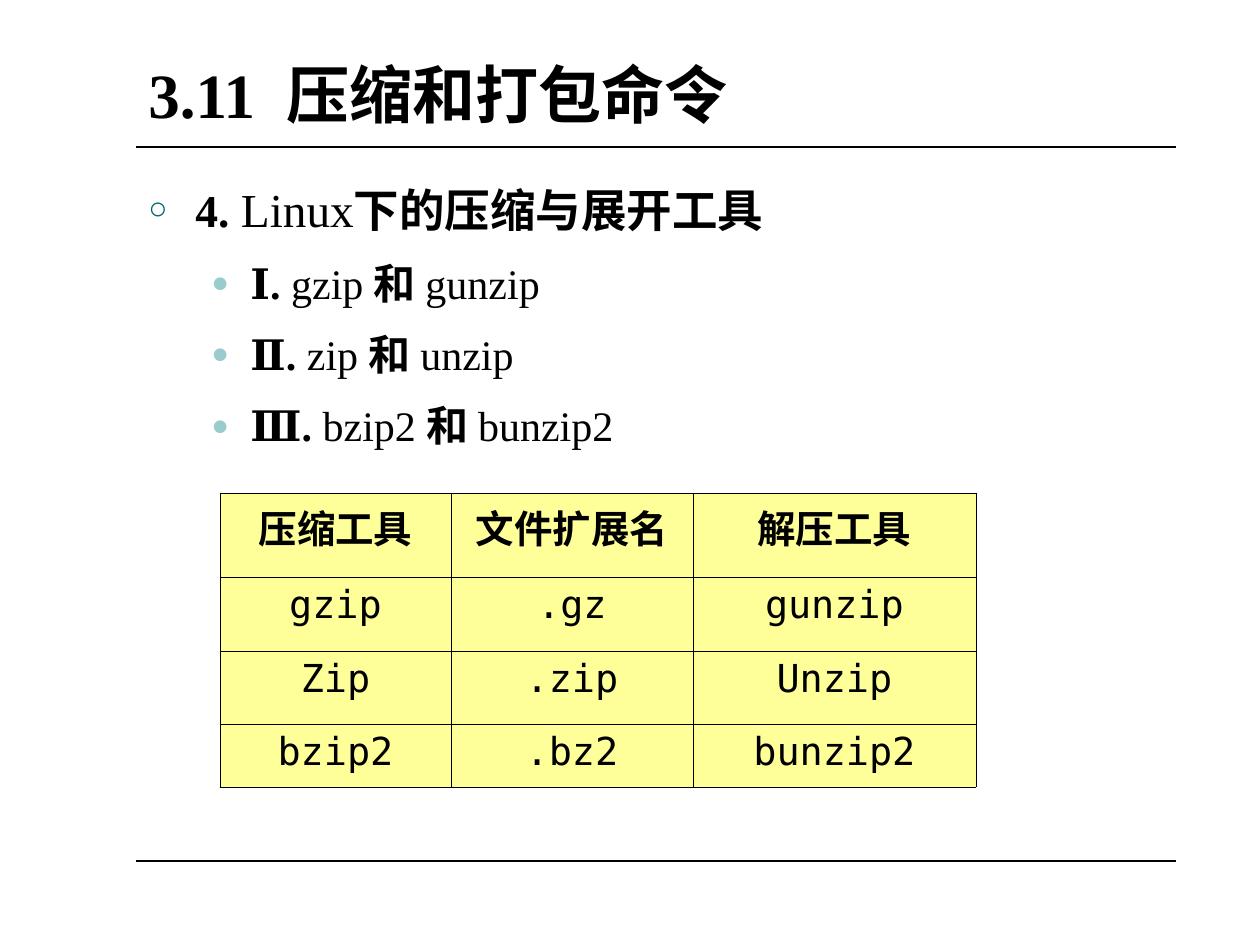
from dataclasses import dataclass

from lxml.etree import SubElement
from pptx import Presentation
from pptx.dml.color import RGBColor
from pptx.enum.shapes import MSO_CONNECTOR
from pptx.enum.text import MSO_ANCHOR, PP_ALIGN
from pptx.oxml.ns import qn
from pptx.util import Emu, Pt

# Content: a run is (text, bold) or (text, bold, size)
TITLE = "3.11  压缩和打包命令"
HEADING = [("4. ", True), ("Linux", False, 27), ("下的压缩与展开工具", True)]
TOOLS = [("Ⅰ", "gzip", "gunzip"), ("Ⅱ", "zip", "unzip"), ("Ⅲ", "bzip2", "bunzip2")]
TABLE = [
    ("压缩工具", "文件扩展名", "解压工具"),
    ("gzip", ".gz", "gunzip"),
    ("Zip", ".zip", "Unzip"),
    ("bzip2", ".bz2", "bunzip2"),
]

# Layout in px
LEFT, WIDTH = 136, 1040
RULES_Y = (147, 861)
TITLE_BOX = (LEFT, 42, WIDTH, 95)
BODY_BOX = (LEFT, 168, WIDTH, 683)
TABLE_AT = (220, 493)
COL_W = (231, 242, 283)
ROW_H = (84, 74, 73, 63)


@dataclass(frozen=True)
class Theme:
    ink: str = "000000"
    cell: str = "FFFF99"
    ring: str = "006666"
    dot: str = "99CCCC"
    serif: str = "Times New Roman"
    sans: str = "Arial"
    mono: str = "DejaVu Sans Mono"
    title: int = 36
    heading: int = 26
    item: int = 24
    table: int = 22
    rule: float = 1
    border: float = 0.45


T = Theme()


def px(n):
    return Emu(round(n * 914400 / 126))


def add_run(p, text, *, size, bold=False, font=T.serif):
    r = p.add_run()
    r.text = text
    f = r.font
    f.name, f.size, f.bold = font, Pt(size), bold
    f.color.rgb = RGBColor.from_string(T.ink)


def add_bullet(p, char, color, indent, hang):
    pPr = p._p.get_or_add_pPr()
    pPr.set("marL", str(px(indent)))
    pPr.set("indent", str(-px(hang)))
    SubElement(SubElement(pPr, qn("a:buClr")), qn("a:srgbClr"), val=color)
    SubElement(pPr, qn("a:buSzPct"), val="70000")
    SubElement(pPr, qn("a:buFont"), typeface=T.sans)
    SubElement(pPr, qn("a:buChar"), char=char)


def add_text_frame(s, box, anchor):
    tf = s.shapes.add_textbox(*map(px, box)).text_frame
    tf.word_wrap = True
    tf.vertical_anchor = anchor
    return tf


def add_rule(s, y):
    ln = s.shapes.add_connector(
        MSO_CONNECTOR.STRAIGHT, px(LEFT), px(y), px(LEFT + WIDTH), px(y))
    ln.line.color.rgb = RGBColor.from_string(T.ink)
    ln.line.width = Pt(T.rule)
    SubElement(ln._element.spPr, qn("a:effectLst"))


def add_body(s):
    tf = add_text_frame(s, BODY_BOX, MSO_ANCHOR.TOP)
    p = tf.paragraphs[0]
    p.line_spacing = 1.1
    add_bullet(p, "○", T.ring, 47, 47)
    for text, bold, *size in HEADING:
        add_run(p, text, bold=bold, size=size[0] if size else T.heading)
    for number, pack, unpack in TOOLS:
        p = tf.add_paragraph()
        p.level = 1
        p.line_spacing = 1.1
        p.space_before = Pt(9)
        add_bullet(p, "●", T.dot, 102, 39)
        runs = ((f"{number}. ", True), (f"{pack} ", False), ("和 ", True), (unpack, False))
        for text, bold in runs:
            add_run(p, text, bold=bold, size=T.item)


def style_cell(cell):
    cell.fill.solid()
    cell.fill.fore_color.rgb = RGBColor.from_string(T.cell)
    tcPr = cell._tc.get_or_add_tcPr()
    for i, side in enumerate(("lnL", "lnR", "lnT", "lnB")):
        ln = SubElement(tcPr, qn(f"a:{side}"), w=str(Pt(T.border)))
        SubElement(SubElement(ln, qn("a:solidFill")), qn("a:srgbClr"), val=T.ink)
        tcPr.insert(i, ln)  # borders come before the fill


def add_tools_table(s):
    tbl = s.shapes.add_table(
        len(TABLE), len(COL_W), *map(px, (*TABLE_AT, sum(COL_W), sum(ROW_H)))).table
    for col, w in zip(tbl.columns, COL_W):
        col.width = px(w)
    for i, (row, h) in enumerate(zip(tbl.rows, ROW_H)):
        row.height = px(h)
        header = i == 0
        for cell, text in zip(row.cells, TABLE[i]):
            style_cell(cell)
            p = cell.text_frame.paragraphs[0]
            p.alignment = PP_ALIGN.CENTER
            add_run(p, text, size=T.table, bold=header, font=T.sans if header else T.mono)


def main():
    prs = Presentation()
    prs.slide_width, prs.slide_height = px(1260), px(945)
    s = prs.slides.add_slide(prs.slide_layouts[6])
    for y in RULES_Y:
        add_rule(s, y)
    tf = add_text_frame(s, TITLE_BOX, MSO_ANCHOR.BOTTOM)
    add_run(tf.paragraphs[0], TITLE, size=T.title, bold=True)
    add_body(s)
    add_tools_table(s)
    prs.save("out.pptx")


if __name__ == "__main__":
    main()
